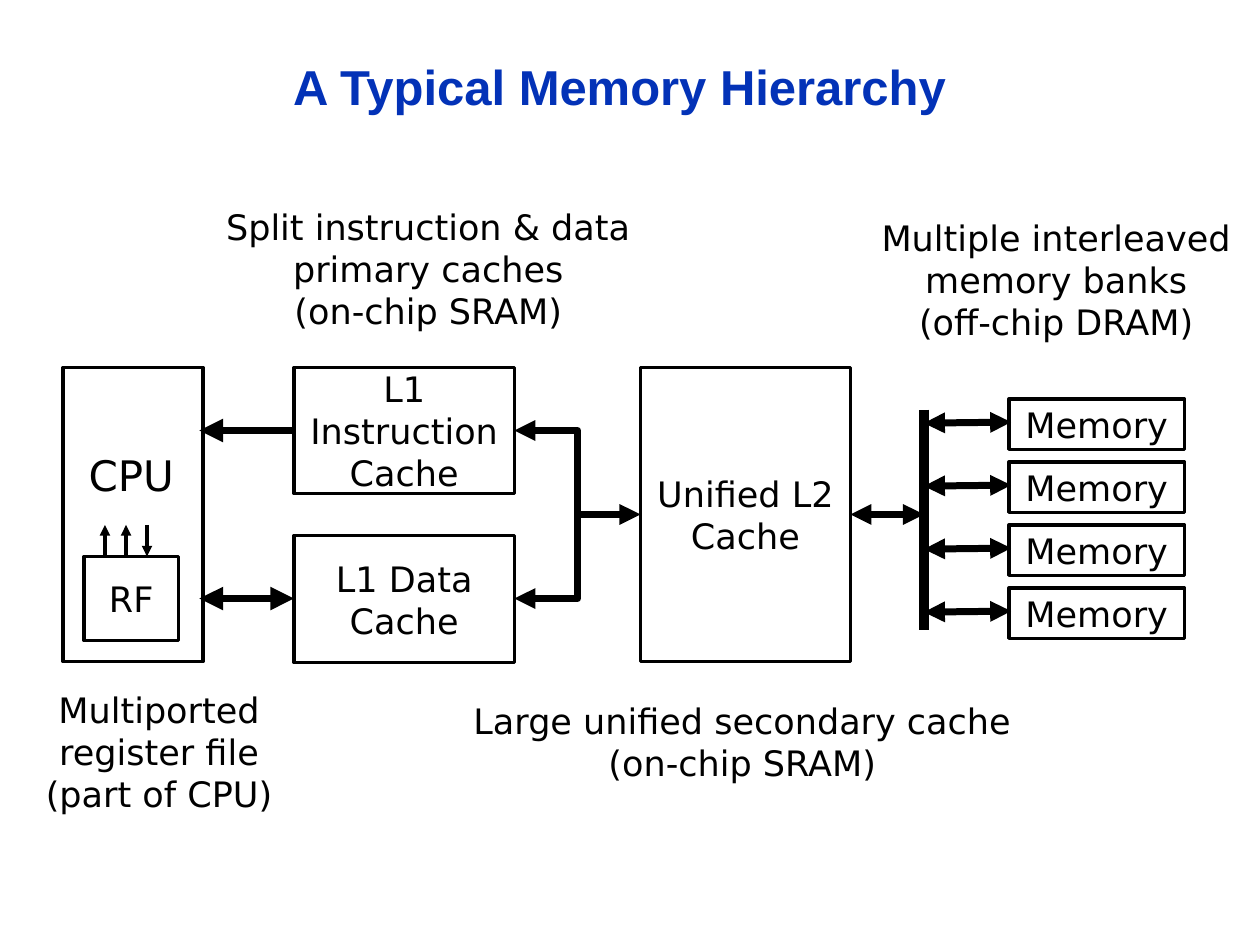
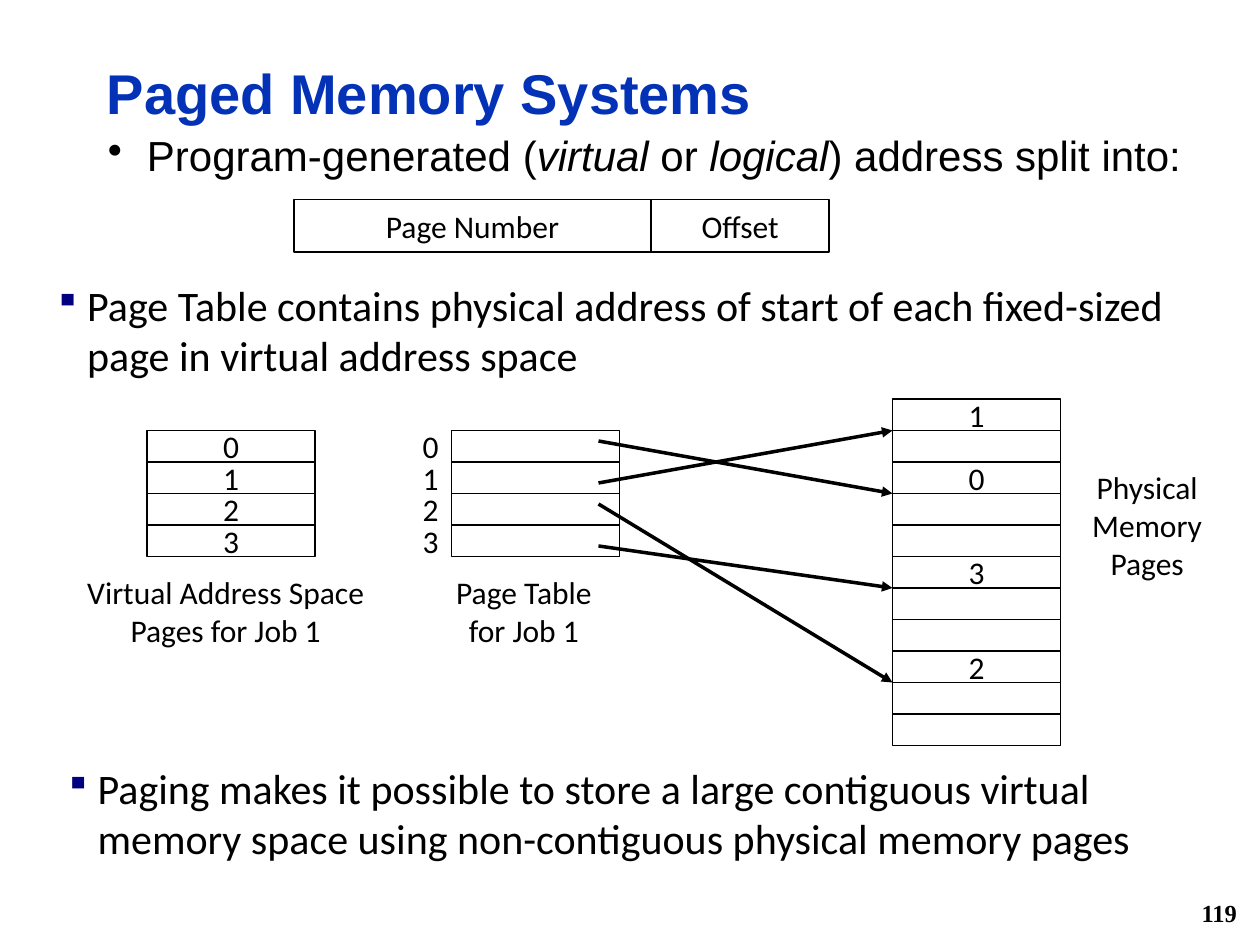
from dataclasses import dataclass

import lxml.etree
import pptx
import pptx.dml.color
import pptx.enum.shapes
import pptx.enum.text
import pptx.oxml.ns
import pptx.util

COLORS = {"title": "0332B7", "ink": "000000", "paper": "FFFFFF", "bullet": "000080"}
COLUMNS, ROWS = 120, 90
SLIDE_WIDTH, SLIDE_HEIGHT = pptx.util.Inches(10), pptx.util.Inches(7.5)
ALIGN = pptx.enum.text.PP_ALIGN
ANCHOR = pptx.enum.text.MSO_ANCHOR
DIAGRAM_FONT, PAGING_FONT = "DejaVu Sans", "Calibri"

CELL_ROWS, CELL_COLUMNS = 3, 16
PAGE_TOP, FRAME_TOP, FRAME_LEFT = 41, 38, 85
FRAME_COUNT = 11
FRAME_OF_PAGE = {0: 2, 1: 0, 2: 8, 3: 5}
POINTER_ROWS = (42, 46, 48, 52)


@dataclass(frozen=True)
class Area:
    left: float
    top: float
    width: float
    height: float


@dataclass(frozen=True)
class Box:
    area: Area
    text: str = ""
    font: str = DIAGRAM_FONT
    size: float = 20
    border: float = 2
    filled: bool = True
    inset: bool = True


@dataclass(frozen=True)
class Label:
    area: Area
    text: str
    font: str = DIAGRAM_FONT
    size: float = 20
    anchor: ANCHOR = ANCHOR.MIDDLE


@dataclass(frozen=True)
class Arrow:
    points: tuple
    weight: float = 4
    head: bool = False
    tail: bool = True


def across(columns: float) -> int:
    return round(SLIDE_WIDTH * columns / COLUMNS)


def down(rows: float) -> int:
    return round(SLIDE_HEIGHT * rows / ROWS)


def place(area: Area) -> tuple:
    return across(area.left), down(area.top), across(area.width), down(area.height)


def rgb(name: str) -> pptx.dml.color.RGBColor:
    return pptx.dml.color.RGBColor.from_string(COLORS[name])


def add_element(parent, tag: str, **attributes):
    return lxml.etree.SubElement(parent, pptx.oxml.ns.qn(tag), attributes)


def add_bullet(paragraph, character: str, indent: float, color: str, percent: int) -> None:
    properties = paragraph._p.get_or_add_pPr()
    properties.set("marL", str(pptx.util.Inches(indent)))
    properties.set("indent", str(-pptx.util.Inches(indent)))
    bullet_color = add_element(properties, "a:buClr")
    add_element(bullet_color, "a:srgbClr", val=COLORS[color])
    add_element(properties, "a:buSzPct", val=str(percent * 1000))
    add_element(properties, "a:buChar", char=character)


def write_text(shape, text: str, *, font: str, size: float, color: str = "ink",
               bold: bool = False, align=ALIGN.CENTER, anchor=ANCHOR.MIDDLE,
               inset: bool = True, spacing: float = 1.0, bullet: dict | None = None) -> None:
    frame = shape.text_frame
    frame.word_wrap = True
    frame.vertical_anchor = anchor
    frame.margin_left = frame.margin_right = pptx.util.Inches(0.1 if inset else 0)
    frame.margin_top = frame.margin_bottom = pptx.util.Inches(0.05 if inset else 0)
    for index, line in enumerate(text.split("\n")):
        paragraph = frame.add_paragraph() if index else frame.paragraphs[0]
        paragraph.alignment = align
        paragraph.line_spacing = spacing
        if bullet:
            add_bullet(paragraph, **bullet)
        for part, words in enumerate(line.split("_")):
            run = paragraph.add_run()
            run.text = words
            run.font.name = font
            run.font.size = pptx.util.Pt(size)
            run.font.bold = bold
            run.font.italic = part % 2 == 1
            run.font.color.rgb = rgb(color)


def add_text(slide, area: Area, text: str, **text_format) -> None:
    write_text(slide.shapes.add_textbox(*place(area)), text, **text_format)


def add_title(slide, area: Area, text: str, size: float, align) -> None:
    add_text(slide, area, text, font="Arial", size=size, color="title", bold=True,
             align=align, spacing=0.9)


def add_square_bullet(slide, area: Area, text: str) -> None:
    add_text(slide, area, text, font=PAGING_FONT, size=24, align=ALIGN.LEFT, anchor=ANCHOR.TOP,
             bullet=dict(character="▪", indent=0.26, color="bullet", percent=85))


def draw_label(slide, label: Label) -> None:
    add_text(slide, label.area, label.text, font=label.font, size=label.size, anchor=label.anchor)


def draw_box(slide, box: Box) -> None:
    shape = slide.shapes.add_shape(pptx.enum.shapes.MSO_SHAPE.RECTANGLE, *place(box.area))
    shape.shadow.inherit = False
    if box.filled:
        shape.fill.solid()
        shape.fill.fore_color.rgb = rgb("paper")
    else:
        shape.fill.background()
    if box.border:
        shape.line.color.rgb = rgb("ink")
        shape.line.width = pptx.util.Pt(box.border)
    else:
        shape.line.fill.background()
    if box.text:
        write_text(shape, box.text, font=box.font, size=box.size, inset=box.inset)


def draw_arrow(slide, arrow: Arrow) -> None:
    points = [(across(x), down(y)) for x, y in arrow.points]
    if len(points) == 2:
        shape = slide.shapes.add_connector(pptx.enum.shapes.MSO_CONNECTOR.STRAIGHT,
                                           *points[0], *points[1])
    else:
        builder = slide.shapes.build_freeform(*points[0])
        builder.add_line_segments(points[1:], close=False)
        shape = builder.convert_to_shape()
        shape.fill.background()
    shape.line.color.rgb = rgb("ink")
    shape.line.width = pptx.util.Pt(arrow.weight)
    properties = shape._element.spPr
    line = properties.find(pptx.oxml.ns.qn("a:ln"))
    for tag, shown in (("a:headEnd", arrow.head), ("a:tailEnd", arrow.tail)):
        if shown:
            add_element(line, tag, type="triangle")
    add_element(properties, "a:effectLst")


def draw_stack(slide, left: float, top: float, texts: list, width: float = CELL_COLUMNS,
               border: float = 1) -> None:
    for row, text in enumerate(texts):
        area = Area(left, top + row * CELL_ROWS, width, CELL_ROWS)
        draw_box(slide, Box(area, text, PAGING_FONT, 18, border, inset=False))


def build_hierarchy(slide) -> None:
    add_title(slide, Area(5, 2.9, 108, 11.2), "A Typical Memory Hierarchy", 28, ALIGN.CENTER)
    bank_tops = [38 + 6 * bank for bank in range(4)]
    boxes = [
        Box(Area(6, 35, 13.33, 28)),
        Box(Area(28, 51, 21, 12.1), "L1 Data Cache"),
        Box(Area(28, 35, 21, 12), "L1\nInstruction Cache"),
        Box(Area(61, 35, 20, 28), "Unified L2 Cache"),
        Box(Area(8, 53, 9, 8), "RF"),
        *(Box(Area(96.1, top, 16.7, 4.8), "Memory") for top in bank_tops),
    ]
    arrows = [
        Arrow(((28, 41), (19, 41)), 4.5),
        Arrow(((28, 57), (19, 57)), 4.5, head=True),
        Arrow(((49, 41), (55, 41), (55, 49), (61, 49)), head=True),
        Arrow(((55, 49), (55, 57), (49, 57))),
        Arrow(((88, 39), (88, 60)), 6, tail=False),
        Arrow(((81, 49), (88, 49)), head=True),
        *(Arrow(((96.3, top + 2.2), (88, top + 2.3)), head=True) for top in bank_tops),
        Arrow(((10, 53), (10, 50)), 2),
        Arrow(((12, 53), (12, 50)), 2),
        Arrow(((14, 50), (14, 53)), 2),
    ]
    labels = [
        Label(Area(1.5, 65, 27.3, 13.2), "Multiported register file (part of CPU)"),
        Label(Area(14, 19, 53.6, 13.2),
              "Split instruction & data primary caches\n(on-chip SRAM)"),
        Label(Area(82, 20, 37.2, 13.2), "Multiple interleaved memory banks\n(off-chip DRAM)"),
        Label(Area(43, 66, 55.4, 9.2), "Large unified secondary cache (on-chip SRAM)"),
        Label(Area(6, 42.2, 13, 6), "CPU", size=24, anchor=ANCHOR.TOP),
    ]
    for box in boxes:
        draw_box(slide, box)
    for arrow in arrows:
        draw_arrow(slide, arrow)
    for label in labels:
        draw_label(slide, label)


def build_paging(slide) -> None:
    add_title(slide, Area(9, 4.3, 95.8, 9.7), "Paged Memory Systems", 32, ALIGN.LEFT)
    add_text(slide, Area(9.1, 12.3, 106.8, 6),
             "Program-generated (_virtual_ or _logical_) address split into:",
             font="Arial", size=24, align=ALIGN.LEFT, anchor=ANCHOR.TOP, spacing=0.9,
             bullet=dict(character="•", indent=0.31, color="ink", percent=100))
    add_square_bullet(slide, Area(4, 26, 112, 9),
                      "Page Table contains physical address of start of each fixed-sized "
                      "page in virtual address space")
    add_square_bullet(slide, Area(5, 72, 112, 9),
                      "Paging makes it possible to store a large contiguous virtual memory "
                      "space using non-contiguous physical memory pages")
    for left, width, text in ((28, 34, "Page Number"), (62, 17, "Offset")):
        draw_box(slide, Box(Area(left, 19, width, 5), text, PAGING_FONT, 18, 1, False, False))

    pages = [str(page) for page in FRAME_OF_PAGE]
    draw_stack(slide, 14, PAGE_TOP, pages)
    draw_stack(slide, 39, PAGE_TOP, pages, width=4, border=0)
    draw_stack(slide, 43, PAGE_TOP, [""] * len(pages))
    for start, frame in zip(POINTER_ROWS, FRAME_OF_PAGE.values()):
        end = FRAME_TOP + (frame + 1) * CELL_ROWS
        draw_arrow(slide, Arrow(((57, start), (FRAME_LEFT, end)), 2))
    page_in_frame = {frame: str(page) for page, frame in FRAME_OF_PAGE.items()}
    draw_stack(slide, FRAME_LEFT, FRAME_TOP,
               [page_in_frame.get(frame, "") for frame in range(FRAME_COUNT)])

    for area, text in (
        (Area(7, 54, 29, 8.4), "Virtual Address Space Pages for Job 1"),
        (Area(40.9, 54, 18, 8.4), "Page Table\nfor Job 1"),
        (Area(98.5, 44, 21.5, 12.1), "Physical Memory\nPages"),
    ):
        draw_label(slide, Label(area, text, PAGING_FONT, 18, ANCHOR.TOP))
    add_text(slide, Area(94, 85, 25, 3.8), "119", font="Times New Roman", size=14,
             bold=True, align=ALIGN.RIGHT)


def main() -> None:
    presentation = pptx.Presentation()
    presentation.slide_width, presentation.slide_height = SLIDE_WIDTH, SLIDE_HEIGHT
    blank = presentation.slide_layouts[6]
    for build in (build_hierarchy, build_paging):
        build(presentation.slides.add_slide(blank))
    presentation.save("out.pptx")


if __name__ == "__main__":
    main()
